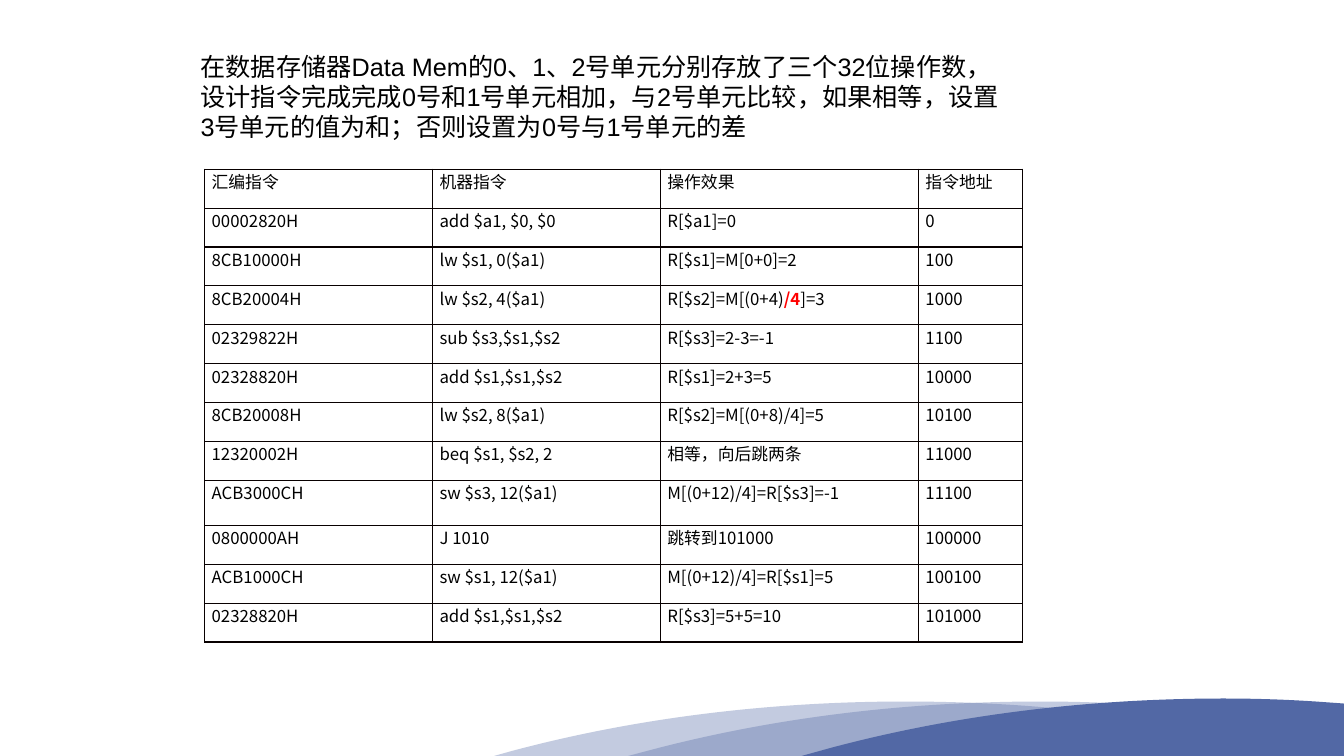
from dataclasses import dataclass

from lxml import etree
from pptx import Presentation
from pptx.dml.color import RGBColor
from pptx.enum import text
from pptx.oxml import ns
from pptx.util import Inches, Pt


@dataclass(frozen=True)
class Theme:
    black: str = "000000"
    red: str = "FF0000"
    wave: str = "5268A5"
    border: str = "080000"
    title_font: str = "Arial"
    table_font: str = "Noto Sans CJK SC"
    title_size: int = 18
    table_size: int = 12
    border_width: int = 1


THEME = Theme()
SLIDE_W, SLIDE_H = 13.33, 7.5

QUESTION = (
    "在数据存储器Data Mem的0、1、2号单元分别存放了三个32位操作数，"
    "设计指令完成完成0号和1号单元相加，与2号单元比较，如果相等，"
    "设置3号单元的值为和；否则设置为0号与1号单元的差"
)
HIGHLIGHT = (3, 2, "/4")  # row, column, text shown in red
INSTRUCTIONS = [
    ("汇编指令", "机器指令", "操作效果", "指令地址"),
    ("00002820H", "add $a1, $0, $0", "R[$a1]=0", "0"),
    ("8CB10000H", "lw $s1, 0($a1)", "R[$s1]=M[0+0]=2", "100"),
    ("8CB20004H", "lw $s2, 4($a1)", "R[$s2]=M[(0+4)/4]=3", "1000"),
    ("02329822H", "sub $s3,$s1,$s2", "R[$s3]=2-3=-1", "1100"),
    ("02328820H", "add $s1,$s1,$s2", "R[$s1]=2+3=5", "10000"),
    ("8CB20008H", "lw $s2, 8($a1)", "R[$s2]=M[(0+8)/4]=5", "10100"),
    ("12320002H", "beq $s1, $s2, 2", "相等，向后跳两条", "11000"),
    ("ACB3000CH", "sw $s3, 12($a1)", "M[(0+12)/4]=R[$s3]=-1", "11100"),
    ("0800000AH", "J 1010", "跳转到101000", "100000"),
    ("ACB1000CH", "sw $s1, 12($a1)", "M[(0+12)/4]=R[$s1]=5", "100100"),
    ("02328820H", "add $s1,$s1,$s2", "R[$s3]=5+5=10", "101000"),
]
COL_WIDTHS = (2.26, 2.26, 2.56, 1.03)
TABLE_H, TALL_ROW, TALL_ROW_H = 4.69, 8, 0.45
ROW_H = (TABLE_H - TALL_ROW_H) / (len(INSTRUCTIONS) - 1)

# Rising curve shared by all waves, measured from the crest
RISE = ((-3.9, 0.49), (-2.7, 0.17), (-1.38, 0), (0, 0))
# Crest, left foot, falling curve, corners to the right of the left foot, opacity
WAVES = (
    ((8.98, 6.96), 4.9, ((10.37, 6.96), (11.68, 7.13), (12.88, 7.45)),
     ((13.07, SLIDE_H),), 34),
    ((10.32, 6.96), 6.23, ((11.24, 6.96), (12.13, 7.04), (12.98, 7.18)),
     ((SLIDE_W, 7.25), (SLIDE_W, SLIDE_H)), 34),
    ((12.14, 6.93), 7.95, ((12.44, 6.93), (12.75, 6.94), (13.05, 6.96)),
     ((SLIDE_W, 6.98), (SLIDE_W, SLIDE_H)), None),
)


def rgb(color):
    return RGBColor.from_string(color)


def add_run(p, content, size, font, color=THEME.black, bold=False):
    r = p.add_run()
    r.text = content
    for name, value in dict(size=Pt(size), name=font, bold=bold).items():
        setattr(r.font, name, value)
    r.font.color.rgb = rgb(color)
    etree.SubElement(r.font._element, ns.qn("a:ea"), typeface=font)


def bend(segments):
    """Turn three straight segments into one cubic curve through their points."""
    curve = etree.Element(ns.qn("a:cubicBezTo"))
    segments[0].addprevious(curve)
    for segment in segments:
        curve.append(segment[0])
        segment.getparent().remove(segment)


def add_wave(slide, crest, foot_x, fall, corners, opacity):
    rise = [(crest[0] + x, crest[1] + y) for x, y in RISE]
    outline = [crest, *fall, *corners, (foot_x, SLIDE_H), *rise]
    points = [(Inches(x), Inches(y)) for x, y in outline]
    builder = slide.shapes.build_freeform(*points[0])
    builder.add_line_segments(points[1:], close=True)
    sp = builder.convert_to_shape()
    segments = list(sp._element.iter(ns.qn("a:lnTo")))
    bend(segments[:3])
    bend(segments[-3:])
    sp.shadow.inherit = False
    sp.fill.solid()
    sp.fill.fore_color.rgb = rgb(THEME.wave)
    sp.line.fill.background()
    if opacity is not None:
        color = sp._element.spPr.find(".//" + ns.qn("a:srgbClr"))
        etree.SubElement(color, ns.qn("a:alpha"), val=str(opacity * 1000))


def add_question(slide, left, top, width, height):
    box = slide.shapes.add_textbox(*map(Inches, (left, top, width, height)))
    tf = box.text_frame
    tf.word_wrap = True
    tf.auto_size = text.MSO_AUTO_SIZE.SHAPE_TO_FIT_TEXT
    add_run(tf.paragraphs[0], QUESTION, THEME.title_size, THEME.title_font)


def set_borders(cell):
    tc_pr = cell._tc.get_or_add_tcPr()
    for i, side in enumerate(("lnL", "lnR", "lnT", "lnB")):
        ln = etree.Element(ns.qn("a:" + side), w=str(Pt(THEME.border_width)))
        fill = etree.SubElement(ln, ns.qn("a:solidFill"))
        etree.SubElement(fill, ns.qn("a:srgbClr"), val=THEME.border)
        tc_pr.insert(i, ln)


def fill_cell(cell, content, highlight=""):
    cell.fill.background()
    margins = dict(margin_left=0.07, margin_right=0.07, margin_top=0, margin_bottom=0)
    for name, value in margins.items():
        setattr(cell, name, Inches(value))
    set_borders(cell)
    style = (THEME.table_size, THEME.table_font)
    p = cell.text_frame.paragraphs[0]
    if highlight:
        before, _, after = content.partition(highlight)
        add_run(p, before, *style)
        add_run(p, highlight, *style, color=THEME.red, bold=True)
        add_run(p, after, *style)
    else:
        add_run(p, content, *style)


def add_instruction_table(slide, left, top):
    heights = [TALL_ROW_H if i == TALL_ROW else ROW_H for i in range(len(INSTRUCTIONS))]
    box = map(Inches, (left, top, sum(COL_WIDTHS), TABLE_H))
    table = slide.shapes.add_table(len(heights), len(COL_WIDTHS), *box).table
    table.first_row = table.horz_banding = False
    for column, width in zip(table.columns, COL_WIDTHS):
        column.width = Inches(width)
    for i, (height, row) in enumerate(zip(heights, INSTRUCTIONS)):
        table.rows[i].height = Inches(height)
        for j, content in enumerate(row):
            highlight = HIGHLIGHT[2] if (i, j) == HIGHLIGHT[:2] else ""
            fill_cell(table.cell(i, j), content, highlight)


def main():
    prs = Presentation()
    prs.slide_width, prs.slide_height = Inches(SLIDE_W), Inches(SLIDE_H)
    slide = prs.slides.add_slide(prs.slide_layouts[6])
    for wave in WAVES:
        add_wave(slide, *wave)
    add_question(slide, 1.89, 0.46, 8.12, 1.01)
    add_instruction_table(slide, 2.03, 1.68)
    prs.save("out.pptx")


if __name__ == "__main__":
    main()
